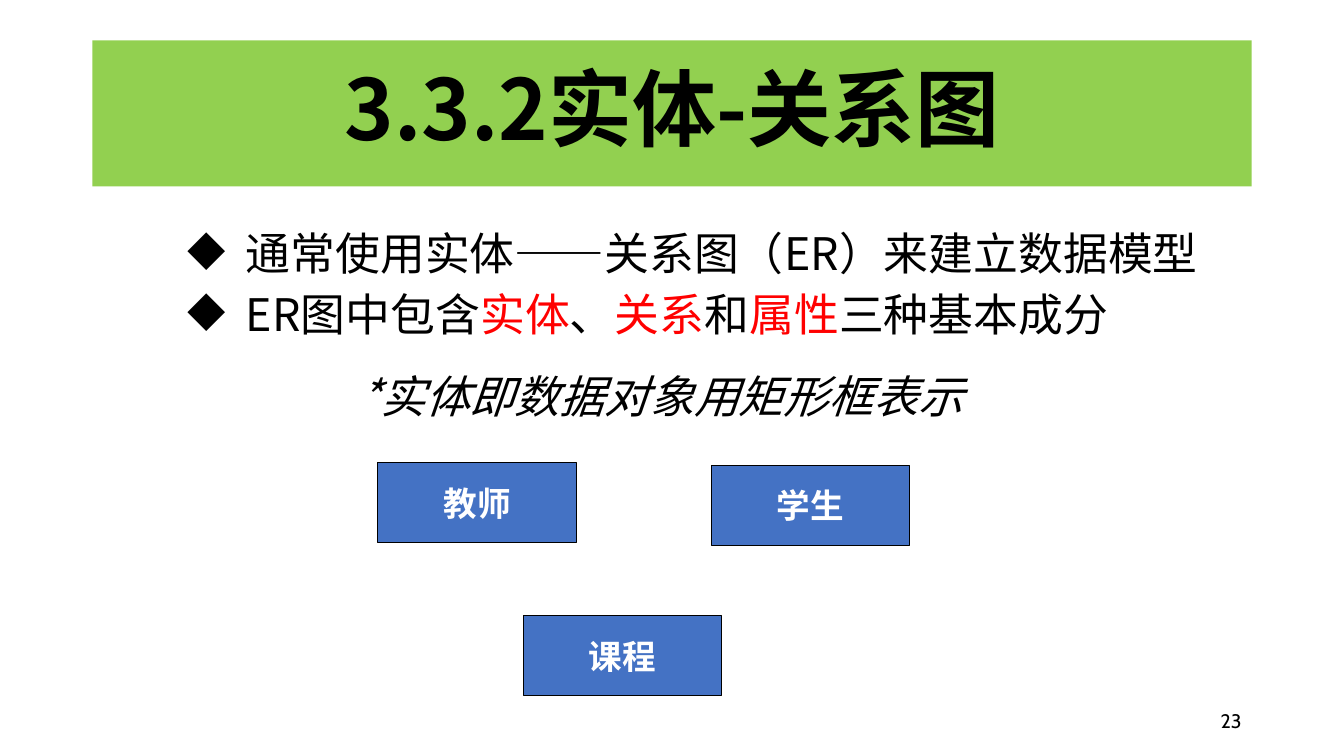
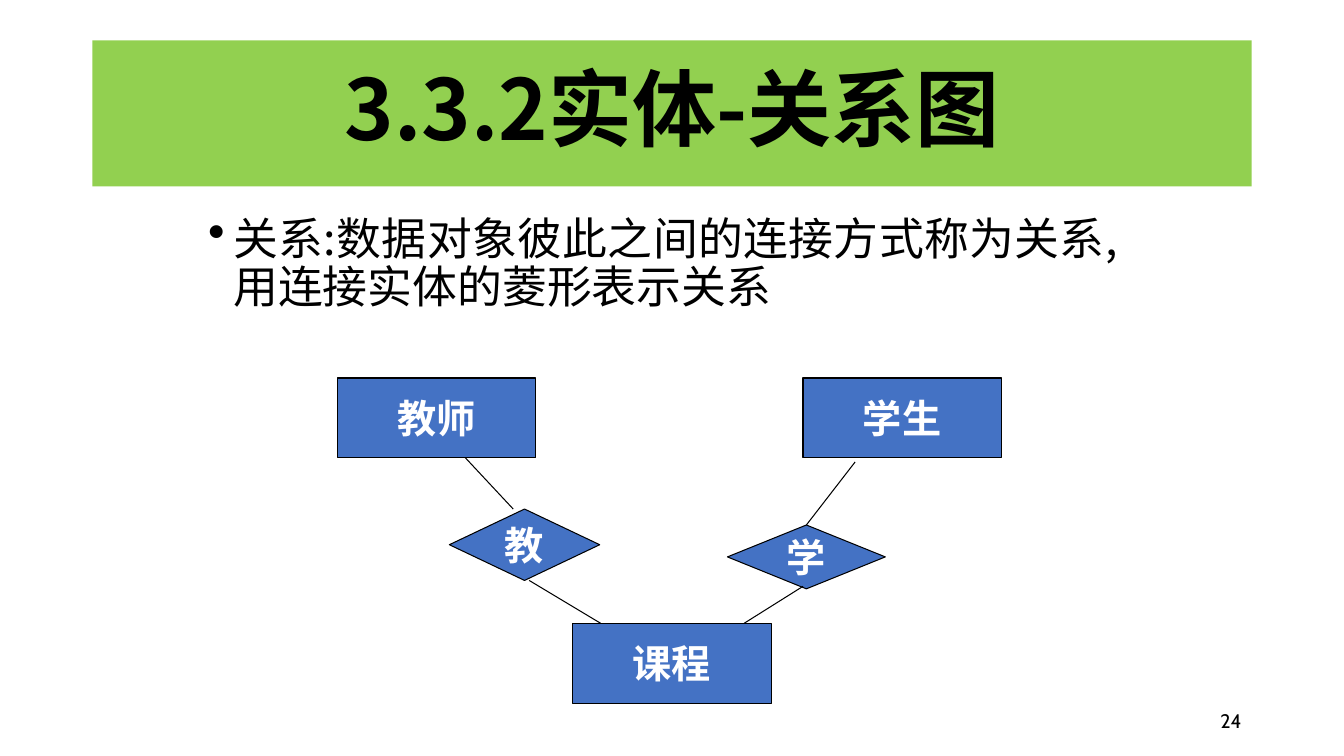
import pptx
import pptx.util
import pptx.dml.color
import pptx.enum.shapes
import pptx.enum.text
import pptx.oxml
import pptx.oxml.ns
from lxml import etree

Pt = pptx.util.Pt
SHAPE = pptx.enum.shapes.MSO_SHAPE
ALIGN = pptx.enum.text.PP_ALIGN
ANCHOR = pptx.enum.text.MSO_ANCHOR


def rgb(value):
    return pptx.dml.color.RGBColor.from_string(value)


class Deck:
    COLS, ROWS = 80, 45
    BOX = (11.8, 4.75)
    GREEN, BLUE, RED = "92D050", "4472C4", "FF0000"
    BLACK, WHITE = "000000", "FFFFFF"
    HEAD, LABEL = "Noto Sans CJK SC", "Cabin"

    def __init__(self):
        self.prs = pptx.Presentation()
        self.prs.slide_width = pptx.util.Inches(13.33)
        self.prs.slide_height = pptx.util.Inches(7.5)

    def x(self, cols):
        return round(self.prs.slide_width * cols / self.COLS)

    def y(self, rows):
        return round(self.prs.slide_height * rows / self.ROWS)

    def place(self, left, top, width, height):
        return self.x(left), self.y(top), self.x(width), self.y(height)

    def child(self, parent, tag, **attrs):
        return etree.SubElement(parent, pptx.oxml.ns.qn(tag), attrs)

    def style(self, p, size, name, color, align, bold=None, italic=None):
        p.alignment = align
        p.font.size = Pt(size)
        p.font.name = name
        p.font.bold = bold
        p.font.italic = italic
        p.font.color.rgb = rgb(color)
        self.child(p.font._element, "a:ea", typeface=self.HEAD)

    def slide(self, title, number):
        self.shapes = self.prs.slides.add_slide(self.prs.slide_layouts[6]).shapes
        sp = self.shape(SHAPE.RECTANGLE, self.GREEN, 5.5, 2.4, 69, 8.7)
        p = sp.text_frame.paragraphs[0]
        p.text = title
        p.line_spacing = 0.9
        self.style(p, 60, self.HEAD, self.BLACK, ALIGN.CENTER, bold=True)
        tf = self.shapes.add_textbox(*self.place(56.5, 41.7, 18, 2.4)).text_frame
        tf.word_wrap = True
        tf.vertical_anchor = ANCHOR.MIDDLE
        p = tf.paragraphs[0]
        p.text = str(number)
        self.style(p, 14, self.LABEL, self.BLACK, ALIGN.RIGHT)

    def shape(self, kind, fill, *area):
        sp = self.shapes.add_shape(kind, *self.place(*area))
        sp.shadow.inherit = False
        sp.fill.solid()
        sp.fill.fore_color.rgb = rgb(fill)
        sp.line.fill.background()
        sp.text_frame.word_wrap = True
        sp.text_frame.vertical_anchor = ANCHOR.MIDDLE
        return sp

    def node(self, text, left, top, size, kind=SHAPE.RECTANGLE, extent=BOX):
        sp = self.shape(kind, self.BLUE, left, top, *extent)
        sp.line.color.rgb = rgb(self.BLACK)
        sp.line.width = Pt(0.75)
        sp.text_frame.word_wrap = False
        p = sp.text_frame.paragraphs[0]
        p.text = text
        self.style(p, size, self.LABEL, self.WHITE, ALIGN.CENTER, bold=True)
        return sp

    def text(self, area, lines, margin, hanging=0, bullet=None, spacing=None, italic=None):
        tf = self.shapes.add_textbox(*self.place(*area)).text_frame
        tf.word_wrap = True
        for i, line in enumerate(lines):
            p = tf.add_paragraph() if i else tf.paragraphs[0]
            pPr = p._p.get_or_add_pPr()
            pPr.set("marL", str(pptx.util.Inches(margin)))
            pPr.set("indent", str(-pptx.util.Inches(hanging)))
            if bullet:
                self.child(pPr, "a:buSzPct", val="110000")
                self.child(pPr, "a:buChar", char=bullet)
            if i:
                p.space_before = Pt(5)
            if spacing:
                p.line_spacing = spacing
            self.style(p, 32, self.HEAD, self.BLACK, ALIGN.JUSTIFY, italic=italic)
            for n, part in enumerate(line.split("|")):
                r = p.add_run()
                r.text = part
                if n % 2:
                    r.font.color.rgb = rgb(self.RED)

    def link(self, x1, y1, x2, y2, start=None):
        line = self.shapes.add_connector(
            pptx.enum.shapes.MSO_CONNECTOR.STRAIGHT,
            self.x(x1), self.y(y1), self.x(x2), self.y(y2))
        line.line.color.rgb = rgb(self.BLACK)
        line.line.width = Pt(0.75)
        self.child(line._element.spPr, "a:effectLst")
        if start:
            line.begin_connect(start, 0)


def main():
    deck = Deck()
    title = "3.3.2实体-关系图"

    deck.slide(title, 23)
    deck.text((7.56, 13.14, 67.1, 8),
              ["通常使用实体——关系图（ER）来建立数据模型",
               "ER图中包含|实体|、|关系|和|属性|三种基本成分"],
              1.08, 0.58, "◆")
    deck.text((17.8, 22, 51, 5), ["*实体即数据对象用矩形框表示"],
              0.5, spacing=0.9, italic=True)
    for name, left, top in (("教师", 22.5, 27.55), ("学生", 42.35, 27.7),
                            ("课程", 31.15, 36.65)):
        deck.node(name, left, top, 24)

    deck.slide(title, 24)
    deck.text((8.8, 12.6, 57.6, 8),
              ["关系:数据对象彼此之间的连接方式称为关系,用连接实体的菱形表示关系"],
              0.75, 0.25, "•", 0.9)
    for name, left, top in (("教师", 20.1, 22.5), ("学生", 47.8, 22.5),
                            ("课程", 34.1, 37.1)):
        deck.node(name, left, top, 28)
    diamond = SHAPE.FLOWCHART_DECISION
    deck.node("教", 26.75, 30.3, 28, diamond, (8.95, 4.25))
    learn = deck.node("学", 43.3, 31.25, 28, diamond, (9.4, 3.8))
    deck.link(27.7, 27.25, 30.55, 30.3)
    deck.link(48, 31.25, 50.9, 27.5, start=learn)
    deck.link(31.5, 34.55, 35.75, 37.1)
    deck.link(44.3, 37.1, 47.8, 34.9)

    deck.prs.save("out.pptx")


if __name__ == "__main__":
    main()
